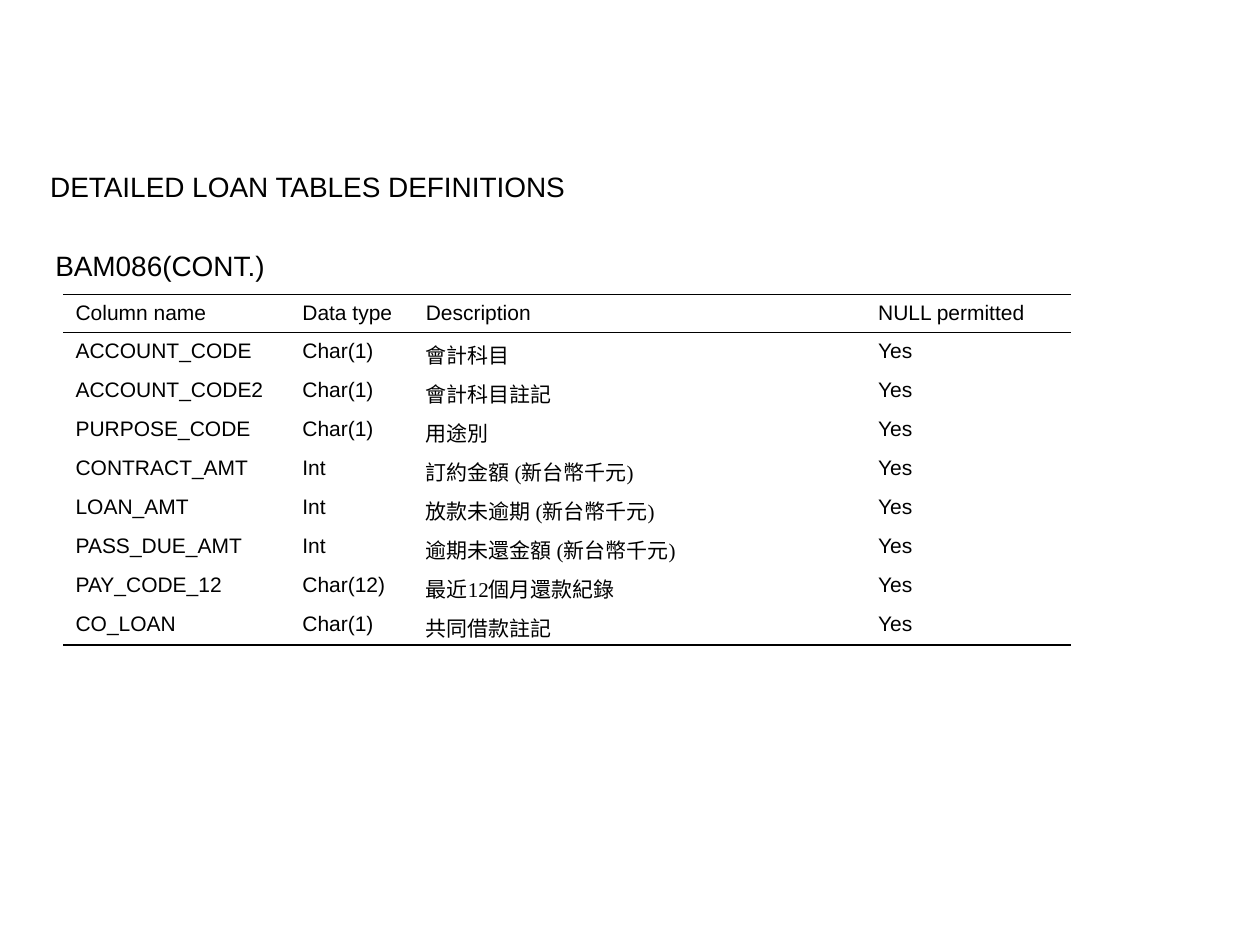
from lxml import etree
from pptx import Presentation
from pptx.dml.color import RGBColor
from pptx.enum.text import MSO_AUTO_SIZE
from pptx.oxml.ns import qn
from pptx.util import Inches, Pt

BLACK = RGBColor(0x00, 0x00, 0x00)
LATIN_FONT = "Arial"
SERIF_FONT = "Times New Roman"
FIT_SHAPE = MSO_AUTO_SIZE.SHAPE_TO_FIT_TEXT
PLAIN_TABLE_STYLE = "{2D5ABB26-0587-4C30-8999-92F81FD0307C}"

OUTER_RULE = 0.75
HEADER_RULE = 0.45
COLUMN_WIDTHS = (1.8, 0.98, 3.59, 1.63)
HEADER_HEIGHT, ROW_HEIGHT = 0.3, 0.31

HEADER = ("Column name", "Data type", ("Description",), "NULL permitted")
UNIT = ("(", "新台幣千元", ")")
# Description runs alternate between the sans and the serif font
FIELDS = [
    ("ACCOUNT_CODE", "Char(1)", ("會計科目",)),
    ("ACCOUNT_CODE2", "Char(1)", ("會計科目註記",)),
    ("PURPOSE_CODE", "Char(1)", ("用途別",)),
    ("CONTRACT_AMT", "Int", ("訂約金額 ", *UNIT)),
    ("LOAN_AMT", "Int", ("放款未逾期 ", *UNIT)),
    ("PASS_DUE_AMT", "Int", ("逾期未還金額 ", *UNIT)),
    ("PAY_CODE_12", "Char(12)", ("最近", "12", "個月還款紀錄")),
    ("CO_LOAN", "Char(1)", ("共同借款註記",)),
]


def add_run(p, text, size, font=LATIN_FONT):
    r = p.add_run()
    r.text = text
    r.font.size = Pt(size)
    r.font.name = font
    r.font.color.rgb = BLACK


def add_heading(slide, text, left, top, width, wrap):
    box = slide.shapes.add_textbox(
        Inches(left), Inches(top), Inches(width), Inches(0.37))
    tf = box.text_frame
    tf.word_wrap = wrap
    tf.auto_size = FIT_SHAPE
    add_run(tf.paragraphs[0], text, 16)


def set_border(cell, side, width):
    """Draw one side of a cell, or hide it when width is None."""
    ln = etree.SubElement(cell._tc.get_or_add_tcPr(), qn(f"a:ln{side}"))
    if width is None:
        etree.SubElement(ln, qn("a:noFill"))
        return
    ln.set("w", str(Pt(width)))
    fill = etree.SubElement(ln, qn("a:solidFill"))
    etree.SubElement(fill, qn("a:srgbClr")).set("val", str(BLACK))


def fill_cell(cell, content, top, bottom):
    for side, width in (("L", None), ("R", None), ("T", top), ("B", bottom)):
        set_border(cell, side, width)
    cell.fill.background()
    runs = (content,) if isinstance(content, str) else content
    for i, text in enumerate(runs):
        font = SERIF_FONT if i % 2 else LATIN_FONT
        add_run(cell.text_frame.paragraphs[0], text, 12, font)


def add_field_table(slide, left, top):
    rows = [HEADER] + [(*field, "Yes") for field in FIELDS]
    heights = [HEADER_HEIGHT] + [ROW_HEIGHT] * len(FIELDS)
    table = slide.shapes.add_table(
        len(rows), len(COLUMN_WIDTHS), Inches(left), Inches(top),
        Inches(sum(COLUMN_WIDTHS)), Inches(sum(heights))).table
    table.first_row = False
    table.horz_banding = False
    table._tbl.tblPr.find(qn("a:tableStyleId")).text = PLAIN_TABLE_STYLE

    for column, width in zip(table.columns, COLUMN_WIDTHS):
        column.width = Inches(width)
    for row, height in zip(table.rows, heights):
        row.height = Inches(height)

    # Horizontal rules, from above the header to below the last row
    rules = [OUTER_RULE, HEADER_RULE] + [None] * (len(FIELDS) - 1) + [OUTER_RULE]
    for i, row in enumerate(rows):
        for j, content in enumerate(row):
            fill_cell(table.cell(i, j), content, rules[i], rules[i + 1])


def main():
    prs = Presentation()
    prs.slide_width, prs.slide_height = Inches(10), Inches(7.5)
    slide = prs.slides.add_slide(prs.slide_layouts[6])

    # Headings
    add_heading(slide, "DETAILED LOAN TABLES DEFINITIONS", 0.3, 1.3, 9.29, True)
    add_heading(slide, "BAM086(CONT.)", 0.34, 1.92, 1.89, False)

    # Column definitions
    add_field_table(slide, 0.5, 2.34)
    prs.save("out.pptx")


if __name__ == "__main__":
    main()
